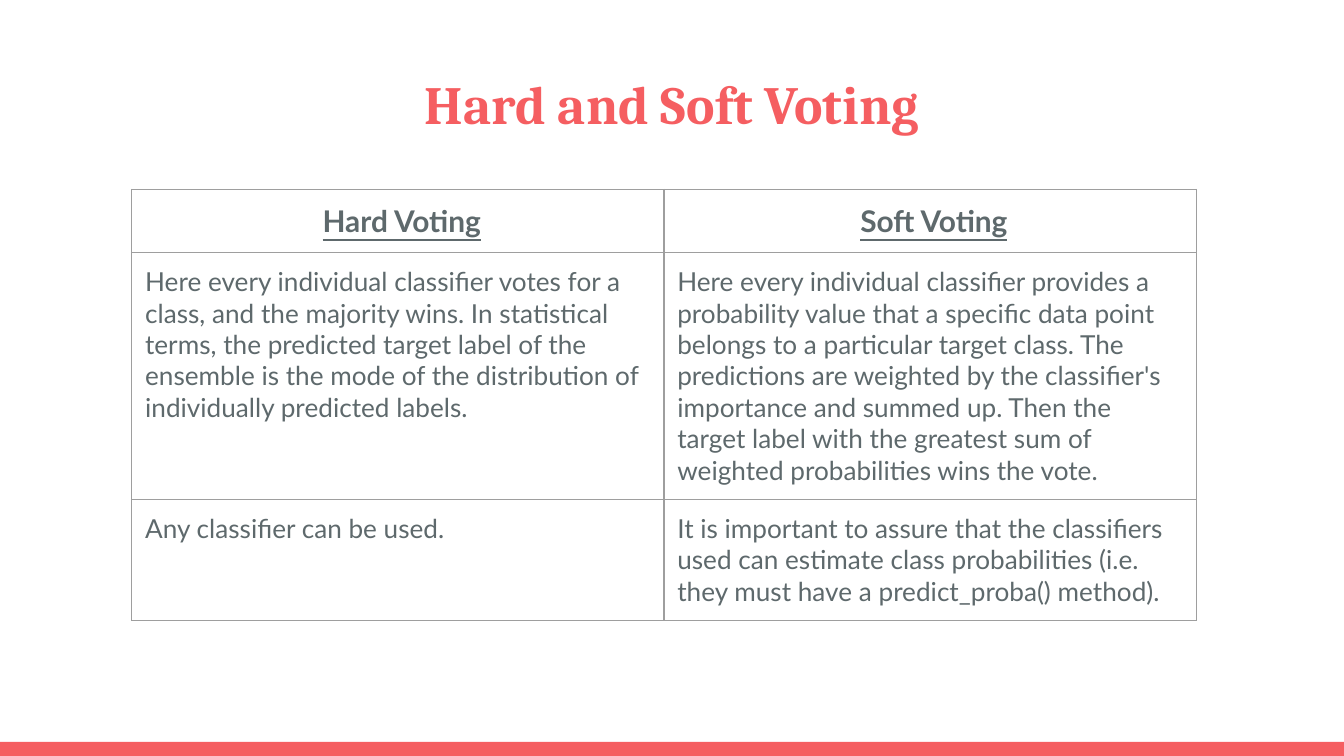
from dataclasses import dataclass

from lxml import etree
from pptx import Presentation
from pptx.dml.color import RGBColor
from pptx.enum.shapes import MSO_SHAPE
from pptx.enum.text import MSO_ANCHOR, PP_ALIGN
from pptx.oxml.ns import qn
from pptx.table import _Cell
from pptx.text.text import TextFrame
from pptx.util import Inches, Pt

RECTANGLE = MSO_SHAPE.RECTANGLE
TOP, MIDDLE = MSO_ANCHOR.TOP, MSO_ANCHOR.MIDDLE
LEFT, CENTER = PP_ALIGN.LEFT, PP_ALIGN.CENTER
TITLE_ONLY = 5

COLORS = {"accent": "F55E61", "body": "5E696C", "border": "9E9E9E"}
SLIDE_WIDTH = 10
SLIDE_HEIGHT = SLIDE_WIDTH * 9 / 16
BAND_TOP = 5.52
BORDER_WIDTH = Pt(0.75)
COLUMN_WIDTH = 3.96
MARGIN = 0.1
HEADER_INDENT = 0.06


@dataclass
class Row:
    height: float
    hard: str
    soft: str
    header: bool = False


ROWS = [
    Row(0.47, "Hard Voting", "Soft Voting", header=True),
    Row(
        1.83,
        "Here every individual classifier votes for a class, and the majority wins. "
        "In statistical terms, the predicted target label of the ensemble is the mode "
        "of the distribution of individually predicted labels.",
        "Here every individual classifier provides a probability value that a specific "
        "data point belongs to a particular target class. The predictions are weighted "
        "by the classifier's importance and summed up. Then the target label with the "
        "greatest sum of weighted probabilities wins the vote.",
    ),
    Row(
        0.9,
        "Any classifier can be used.",
        "It is important to assure that the classifiers used can estimate class "
        "probabilities (i.e. they must have a predict_proba() method).",
    ),
]


def write_text(frame: TextFrame, text: str, *, size: float, font: str = "Lato",
               color: str = "body", bold: bool = False, underline: bool = False,
               align: PP_ALIGN = LEFT) -> None:
    frame.word_wrap = True
    paragraph = frame.paragraphs[0]
    paragraph.alignment = align
    run = paragraph.add_run()
    run.text = text
    run.font.name = font
    run.font.size = Pt(size)
    run.font.bold = bold
    run.font.underline = underline
    run.font.color.rgb = RGBColor.from_string(COLORS[color])


def add_borders(cell: _Cell) -> None:
    properties = cell._tc.get_or_add_tcPr()
    for side in ("lnL", "lnR", "lnT", "lnB"):
        line = etree.SubElement(properties, qn(f"a:{side}"), w=str(int(BORDER_WIDTH)))
        fill = etree.SubElement(line, qn("a:solidFill"))
        etree.SubElement(fill, qn("a:srgbClr"), val=COLORS["border"])


def fill_cell(cell: _Cell, text: str, header: bool) -> None:
    add_borders(cell)
    cell.fill.background()
    cell.vertical_anchor = TOP
    cell.margin_left = Inches(MARGIN + (HEADER_INDENT if header else 0))
    cell.margin_right = cell.margin_top = cell.margin_bottom = Inches(MARGIN)
    write_text(cell.text_frame, text, size=16 if header else 14, bold=header,
               underline=header, align=CENTER if header else LEFT)


presentation = Presentation()
presentation.slide_width = Inches(SLIDE_WIDTH)
presentation.slide_height = Inches(SLIDE_HEIGHT)
slide = presentation.slides.add_slide(presentation.slide_layouts[TITLE_ONLY])

# Bottom band
band = slide.shapes.add_shape(RECTANGLE, 0, Inches(BAND_TOP), Inches(SLIDE_WIDTH),
                              Inches(SLIDE_HEIGHT - BAND_TOP))
band.shadow.inherit = False
band.fill.solid()
band.fill.fore_color.rgb = RGBColor.from_string(COLORS["accent"])
band.line.fill.background()

# Title
title = slide.shapes.title
title.left, title.top = Inches(0.34), Inches(0.43)
title.width, title.height = Inches(9.32), Inches(0.68)
frame = title.text_frame
frame.margin_left = frame.margin_right = Inches(MARGIN)
frame.margin_top = frame.margin_bottom = Inches(MARGIN)
frame.vertical_anchor = MIDDLE
write_text(frame, "Hard and Soft Voting", size=28.8, font="Cambria",
           color="accent", bold=True, align=CENTER)

# Comparison table
table = slide.shapes.add_table(
    len(ROWS), 2, Inches(0.98), Inches(1.41), Inches(2 * COLUMN_WIDTH),
    Inches(sum(row.height for row in ROWS)),
).table
table.first_row = table.horz_banding = False
for column in table.columns:
    column.width = Inches(COLUMN_WIDTH)
for row_index, row in enumerate(ROWS):
    table.rows[row_index].height = Inches(row.height)
    for column_index, text in enumerate((row.hard, row.soft)):
        fill_cell(table.cell(row_index, column_index), text, row.header)

presentation.save("out.pptx")
